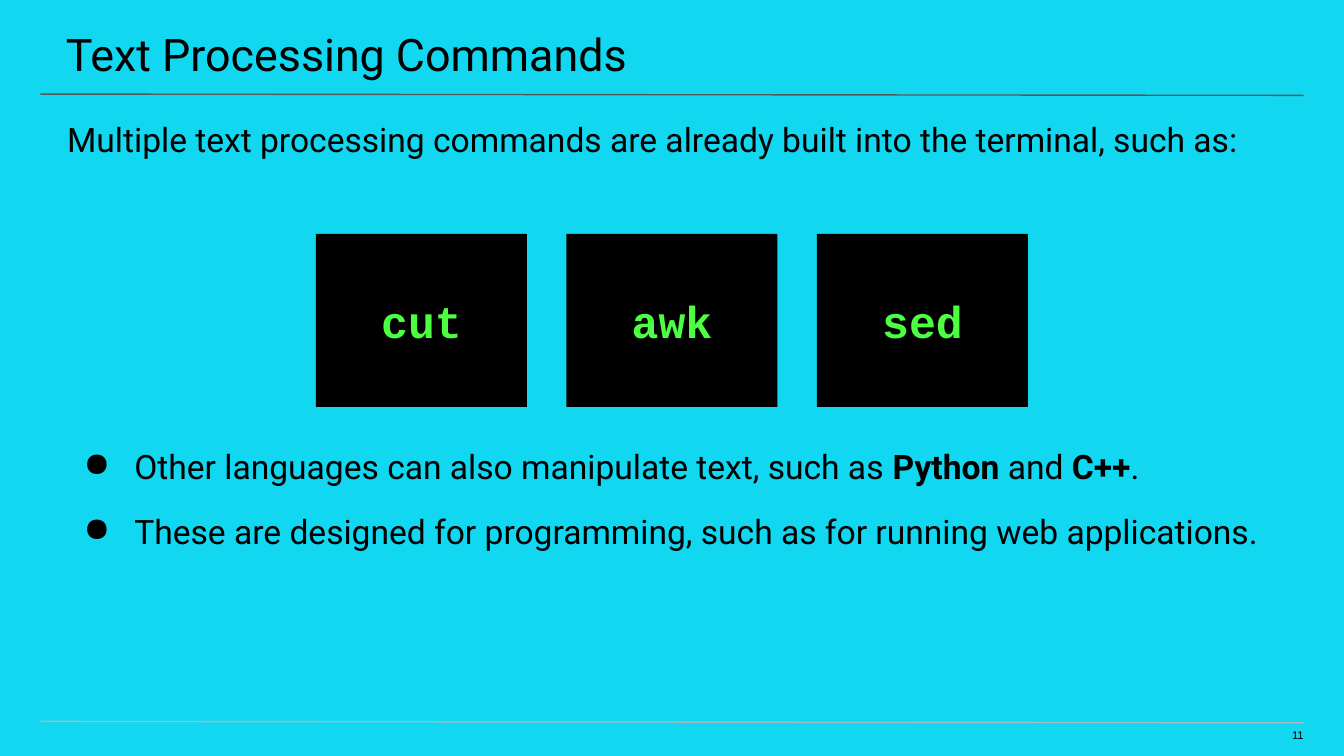
from dataclasses import dataclass

from lxml.etree import SubElement
from pptx import Presentation
from pptx.dml.color import RGBColor
from pptx.enum.shapes import MSO_CONNECTOR as CONN, MSO_SHAPE as SHAPE
from pptx.enum.text import MSO_ANCHOR as ANCHOR, PP_ALIGN as ALIGN
from pptx.oxml.ns import qn
from pptx.util import Pt

WIDTH, HEIGHT = 720, 405


@dataclass(frozen=True)
class Theme:
    background: str = "12D7F1"
    ink: str = "000000"
    terminal_text: str = "4CFF41"
    title_rule: str = "595959"
    footer_rule: str = "A9B7C0"
    font: str = "Roboto"
    code_font: str = "Courier New"
    number_font: str = "Arial"
    title_size: int = 24
    body_size: int = 18
    number_size: int = 6


THEME = Theme()


@dataclass(frozen=True)
class Run:
    text: str
    bold: bool = False


@dataclass(frozen=True)
class TextBlock:
    box: tuple[float, float, float, float]
    insets: tuple[float, float, float, float]
    paragraphs: list[list[Run]]
    size: int
    font: str = THEME.font
    align: ALIGN = ALIGN.LEFT
    line_spacing: float = 1.0
    gap: float = 0
    bullet: str = ""


@dataclass(frozen=True)
class Rule:
    y1: float
    y2: float
    color: str


def rgb(color: str) -> RGBColor:
    return RGBColor.from_string(color)


def set_frame(tf, insets: tuple, anchor: ANCHOR = ANCHOR.TOP) -> None:
    left, top, right, bottom = map(Pt, insets)
    values = {"word_wrap": True, "vertical_anchor": anchor,
              "margin_left": left, "margin_top": top,
              "margin_right": right, "margin_bottom": bottom}
    for name, value in values.items():
        setattr(tf, name, value)


def add_run(p, run: Run, font: str, size: int, color: str) -> None:
    r = p.add_run()
    r.text = run.text
    values = {"name": font, "size": Pt(size), "bold": run.bold}
    for name, value in values.items():
        setattr(r.font, name, value)
    r.font.color.rgb = rgb(color)


def add_bullet(p, char: str) -> None:
    pPr = p._p.get_or_add_pPr()
    pPr.set("marL", str(Pt(36)))
    pPr.set("indent", str(Pt(-27.2)))
    color = SubElement(pPr, qn("a:buClr"))
    SubElement(color, qn("a:srgbClr"), val=THEME.ink)
    SubElement(pPr, qn("a:buChar"), char=char)


def draw_text(s, block: TextBlock) -> None:
    tf = s.shapes.add_textbox(*map(Pt, block.box)).text_frame
    set_frame(tf, block.insets)
    for i, runs in enumerate(block.paragraphs):
        p = tf.add_paragraph() if i else tf.paragraphs[0]
        if block.bullet:
            add_bullet(p, block.bullet)
        values = {"alignment": block.align, "line_spacing": block.line_spacing,
                  "space_before": Pt(block.gap if i else 0)}
        for name, value in values.items():
            setattr(p, name, value)
        for run in runs:
            add_run(p, run, block.font, block.size, THEME.ink)


def draw_rule(s, rule: Rule, margin: float = 21.6) -> None:
    line = s.shapes.add_connector(CONN.STRAIGHT, Pt(margin), Pt(rule.y1),
                                  Pt(WIDTH - margin), Pt(rule.y2))
    line.line.color.rgb = rgb(rule.color)
    line.line.width = Pt(0.75)
    SubElement(line._element.spPr, qn("a:effectLst"))


def draw_command(s, name: str, left: float, top: float, width: float, height: float) -> None:
    sp = s.shapes.add_shape(SHAPE.RECTANGLE, *map(Pt, (left, top, width, height)))
    sp.shadow.inherit = False
    sp.fill.solid()
    sp.fill.fore_color.rgb = rgb(THEME.ink)
    sp.line.fill.background()
    set_frame(sp.text_frame, (7.2, 7.2, 7.2, 7.2), ANCHOR.MIDDLE)
    p = sp.text_frame.paragraphs[0]
    p.alignment = ALIGN.CENTER
    add_run(p, Run(name, True), THEME.code_font, THEME.title_size, THEME.terminal_text)


RULES = [Rule(50.4, 51.1, THEME.title_rule), Rule(386.5, 387.2, THEME.footer_rule)]
COMMANDS = ["cut", "awk", "sed"]
BLOCKS = [
    TextBlock((-0.7, 0, 722, 41.8), (36, 14.4, 21.6, 7.2),
              [[Run("Text Processing Commands")]], THEME.title_size),
    TextBlock((0, 53.3, WIDTH, 28.8), (36, 7.2, 36, 0),
              [[Run("Multiple text processing commands are already built "
                    "into the terminal, such as:")]],
              THEME.body_size, line_spacing=1.15),
    TextBlock((0, 242, WIDTH, 145.4), (36, 0, 36, 72),
              [[Run("Other languages can also manipulate text, such as "),
                Run("Python", True), Run(" and "), Run("C++", True), Run(".")],
               [Run("These are designed for programming, such as for running "
                    "web applications.")]],
              THEME.body_size, line_spacing=1.15, gap=10, bullet="●"),
    TextBlock((677.5, 390.2, 20.9, 8.6), (0, 0, 0, 7.2),
              [[Run("11")]], THEME.number_size, THEME.number_font, ALIGN.RIGHT),
]


def main() -> None:
    prs = Presentation()
    prs.slide_width, prs.slide_height = Pt(WIDTH), Pt(HEIGHT)
    s = prs.slides.add_slide(prs.slide_layouts[6])
    s.background.fill.solid()
    s.background.fill.fore_color.rgb = rgb(THEME.background)

    # Rules under the title and above the page number
    for rule in RULES:
        draw_rule(s, rule)

    # Title, introduction, bullets and page number
    for block in BLOCKS:
        draw_text(s, block)

    # Centred row of terminal tiles
    width, height, gap = 113, 92.8, 21.2
    pitch = width + gap
    left = (WIDTH - len(COMMANDS) * pitch + gap) / 2
    for i, name in enumerate(COMMANDS):
        draw_command(s, name, left + i * pitch, 125.3, width, height)

    prs.save("out.pptx")


if __name__ == "__main__":
    main()
